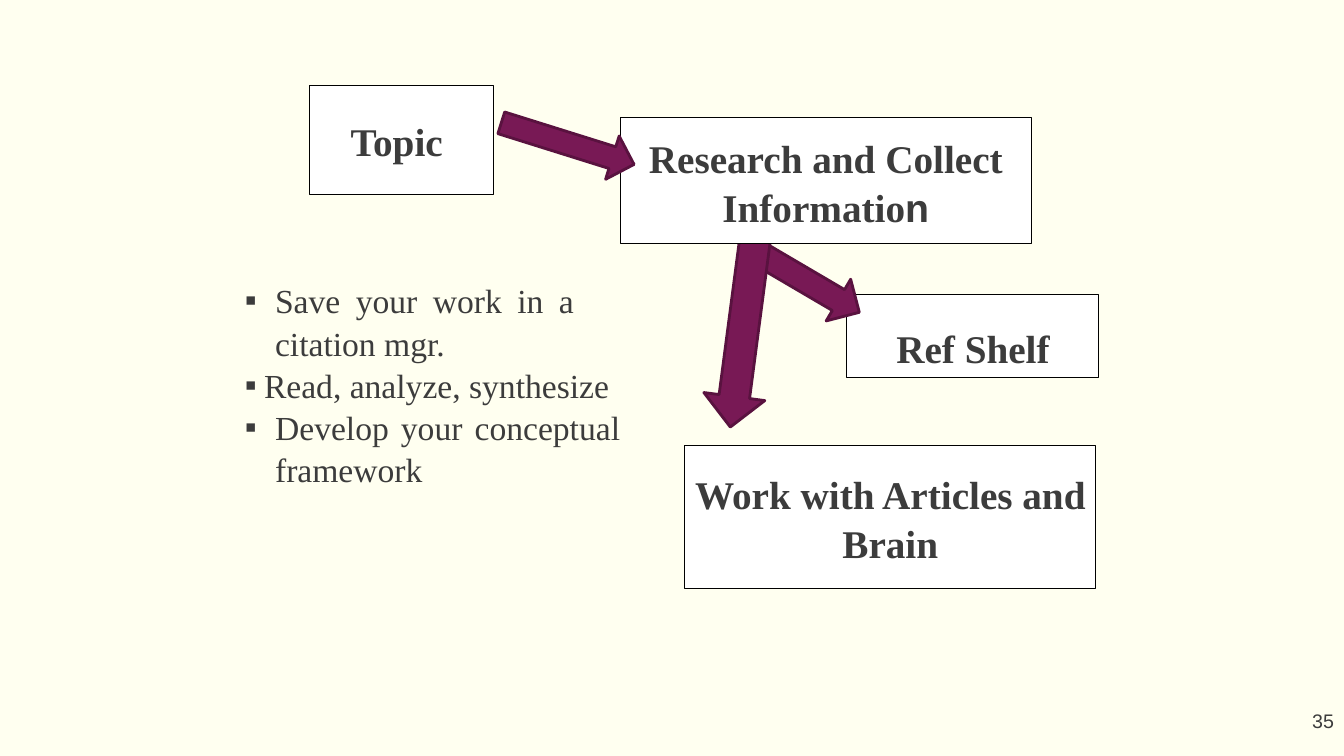
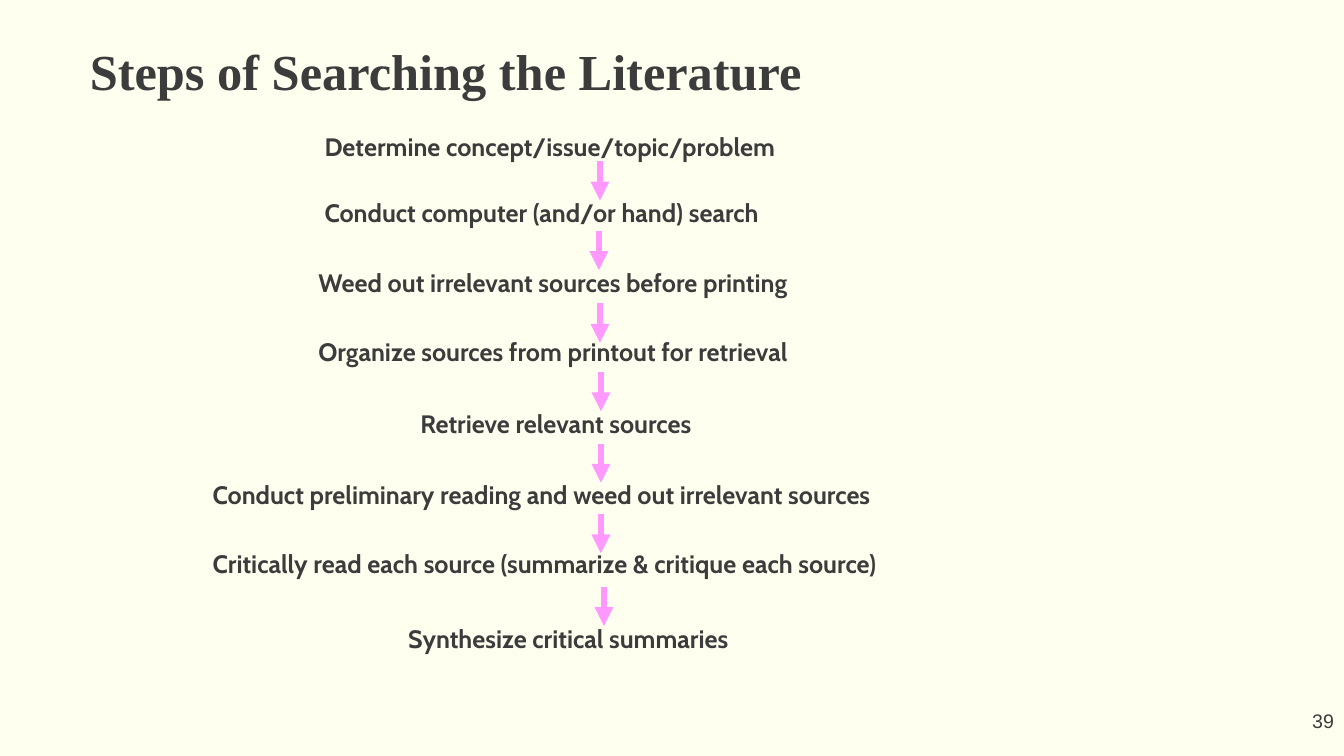
from lxml.etree import SubElement
from pptx import Presentation
from pptx.dml.color import RGBColor as Rgb
from pptx.enum.shapes import MSO_CONNECTOR as Conn, MSO_SHAPE as Shape
from pptx.enum.text import MSO_ANCHOR as Anchor, PP_ALIGN as Align
from pptx.oxml.ns import qn
from pptx.util import Pt

PX = 9144
CREAM = Rgb(0xFF, 0xFF, 0xF0)
WHITE = Rgb(0xFF, 0xFF, 0xFF)
BLACK = Rgb(0, 0, 0)
INK = Rgb(0x3C, 0x3C, 0x3C)
PLUM = Rgb(0x78, 0x19, 0x55)
DARK = Rgb(0x59, 0x12, 0x3F)
PINK = Rgb(0xFF, 0x99, 0xFF)
SERIF, SANS, CABIN = "Times New Roman", "Arial", "Cabin"


def emu(*nums):
    """Turn px into EMU."""
    return [num * PX for num in nums]


def add_run(para, text, size, face, bold=False):
    """Add one styled run to a paragraph."""
    run = para.add_run()
    run.text = text
    font = run.font
    font.size, font.name, font.bold = Pt(size), face, bold
    font.color.rgb = INK


def add_text(slide, box, text, size, face, bold=False, align=Align.LEFT,
             anchor=Anchor.TOP, inset=(10, 5)):
    """Place a one-paragraph text box."""
    frame = slide.shapes.add_textbox(*emu(*box)).text_frame
    frame.word_wrap = True
    frame.vertical_anchor = anchor
    side, top = emu(*inset)
    frame.margin_left = frame.margin_right = side
    frame.margin_top = frame.margin_bottom = top
    para = frame.paragraphs[0]
    para.alignment = align
    add_run(para, text, size, face, bold)


def add_form(slide, kind, box, fill, edge, width):
    """Place a filled and outlined preset shape."""
    form = slide.shapes.add_shape(kind, *emu(*box))
    form.shadow.inherit = False
    form.fill.solid()
    form.fill.fore_color.rgb = fill
    form.line.color.rgb = edge
    form.line.width = Pt(width)
    return form


def add_card(slide, box, runs, right=5, top=5):
    """Place a white box holding a bold centred label."""
    frame = add_form(slide, Shape.RECTANGLE, box, WHITE, BLACK, 0.75).text_frame
    frame.word_wrap = True
    frame.vertical_anchor = Anchor.MIDDLE
    frame.margin_left, frame.margin_right, frame.margin_top = emu(5, right, top)
    para = frame.paragraphs[0]
    para.alignment = Align.CENTER
    para.line_spacing = 1.05
    for text, face in runs:
        add_run(para, text, 28, face, True)


def add_block(slide, box, turn):
    """Place a turned plum block arrow."""
    add_form(slide, Shape.RIGHT_ARROW, box, PLUM, DARK, 2).rotation = turn


def add_list(slide, box, items):
    """Place a justified bullet list of text, hang and right margin."""
    frame = slide.shapes.add_textbox(*emu(*box)).text_frame
    frame.word_wrap = True
    for num, (text, hang, right) in enumerate(items):
        para = frame.add_paragraph() if num else frame.paragraphs[0]
        props = para._p.get_or_add_pPr()
        for key, val in (("marL", hang), ("marR", right), ("indent", -hang)):
            props.set(key, str(val * PX))
        SubElement(props, qn("a:buFont")).set("typeface", SANS)
        SubElement(props, qn("a:buChar")).set("char", "▪")
        para.alignment = Align.JUSTIFY
        para.line_spacing = 1.05
        add_run(para, text, 24, SERIF)


def add_arrow(slide, left, top, size=39):
    """Place a pink arrow pointing down."""
    line = slide.shapes.add_connector(
        Conn.STRAIGHT, *emu(left, top, left, top + size))
    line.line.color.rgb = PINK
    line.line.width = Pt(4.5)
    SubElement(line.line._get_or_add_ln(), qn("a:tailEnd")).set("type", "triangle")
    SubElement(line._element.spPr, qn("a:effectLst"))


def add_page(deck, num):
    """Add a blank slide with its page number."""
    slide = deck.slides.add_slide(deck.slide_layouts[6])
    add_text(slide, (1022, 695, 311, 40), num, 14, SANS,
             align=Align.RIGHT, anchor=Anchor.MIDDLE)
    return slide


def draw_map(deck):
    """Build the slide that maps the work from topic to articles."""
    slide = add_page(deck, "35")
    add_card(slide, (840, 292, 250, 83), [("Ref Shelf", SERIF)], top=25)
    add_block(slide, (735, 254, 126, 48), 30.4)
    add_card(slide, (679, 442, 408, 142),
             [("Work with Articles and Brain", SERIF)])
    add_block(slide, (640, 297, 194, 61), 97.5)
    add_card(slide, (615, 117, 408, 125),
             [("Research and Collect Informatio", SERIF), ("n", SANS)])
    add_block(slide, (494, 120, 138, 45), 17.4)
    add_card(slide, (307, 85, 183, 108), [("Topic", SERIF)], right=15)
    add_list(slide, (233, 271, 392, 212), [
        ("Save your work in a citation mgr.", 30, 46),
        ("Read, analyze, synthesize", 19, 0),
        ("Develop your conceptual framework", 30, 0),
    ])


def draw_steps(deck):
    """Build the slide that lists the search steps."""
    slide = add_page(deck, "39")
    add_text(slide, (89, 40, 1155, 94), "Steps of Searching the Literature",
             36, SERIF, True, inset=(0, 0))
    steps = [
        (312, 125, "Determine concept/issue/topic/problem"),
        (312, 191, "Conduct computer (and/or hand) search"),
        (306, 260, "Weed out irrelevant sources before printing"),
        (306, 329, "Organize sources from printout for retrieval"),
        (407, 400, "Retrieve relevant sources"),
        (201, 471, "Conduct preliminary reading and weed out irrelevant sources"),
        (201, 539, "Critically read each source (summarize & critique each source)"),
        (395, 613, "Synthesize critical summaries"),
    ]
    for left, top, text in steps:
        add_text(slide, (left, top, 772, 40), text, 18, CABIN, True)
    for left, top in ((595, 160), (594, 229), (595, 301), (596, 369),
                      (596, 440), (596, 510), (599, 582)):
        add_arrow(slide, left, top)


def main():
    """Build and save the deck."""
    deck = Presentation()
    deck.slide_width, deck.slide_height = emu(1333, 750)
    fill = deck.slide_master.background.fill
    fill.solid()
    fill.fore_color.rgb = CREAM
    draw_map(deck)
    draw_steps(deck)
    deck.save("out.pptx")


if __name__ == "__main__":
    main()
